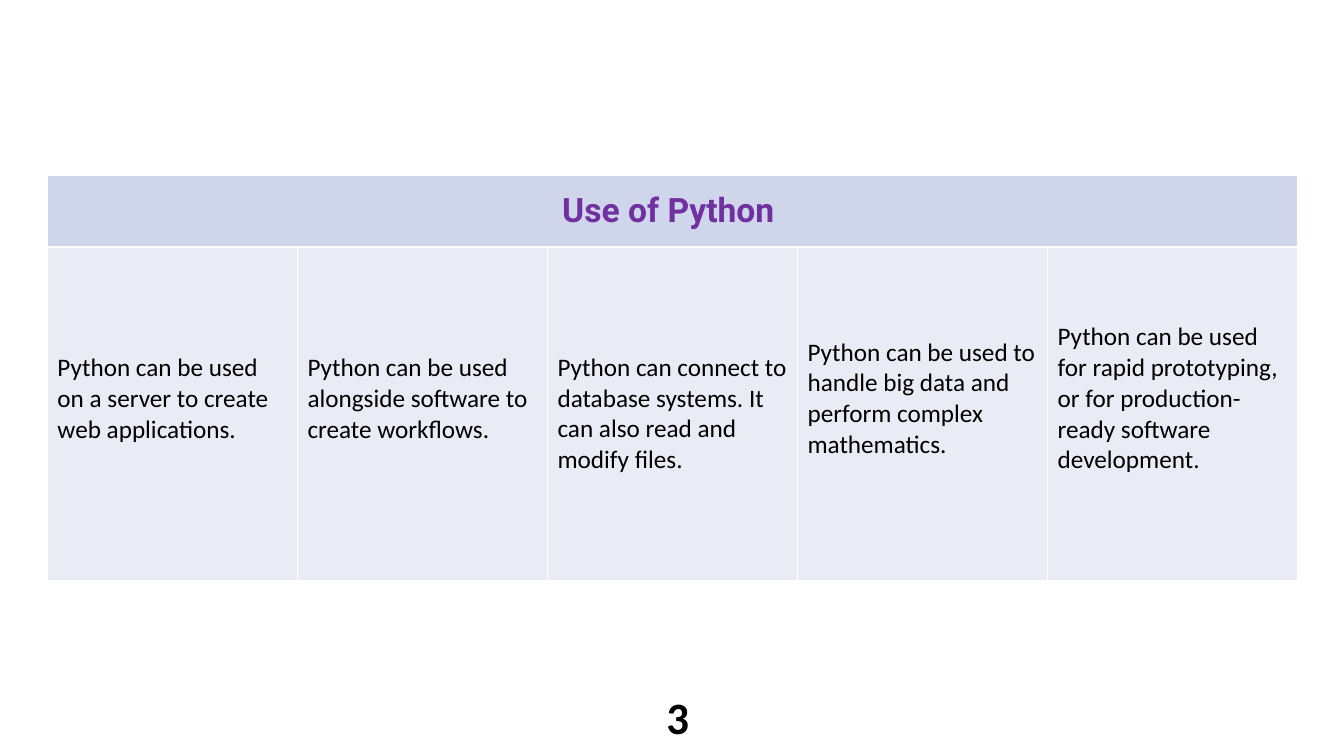
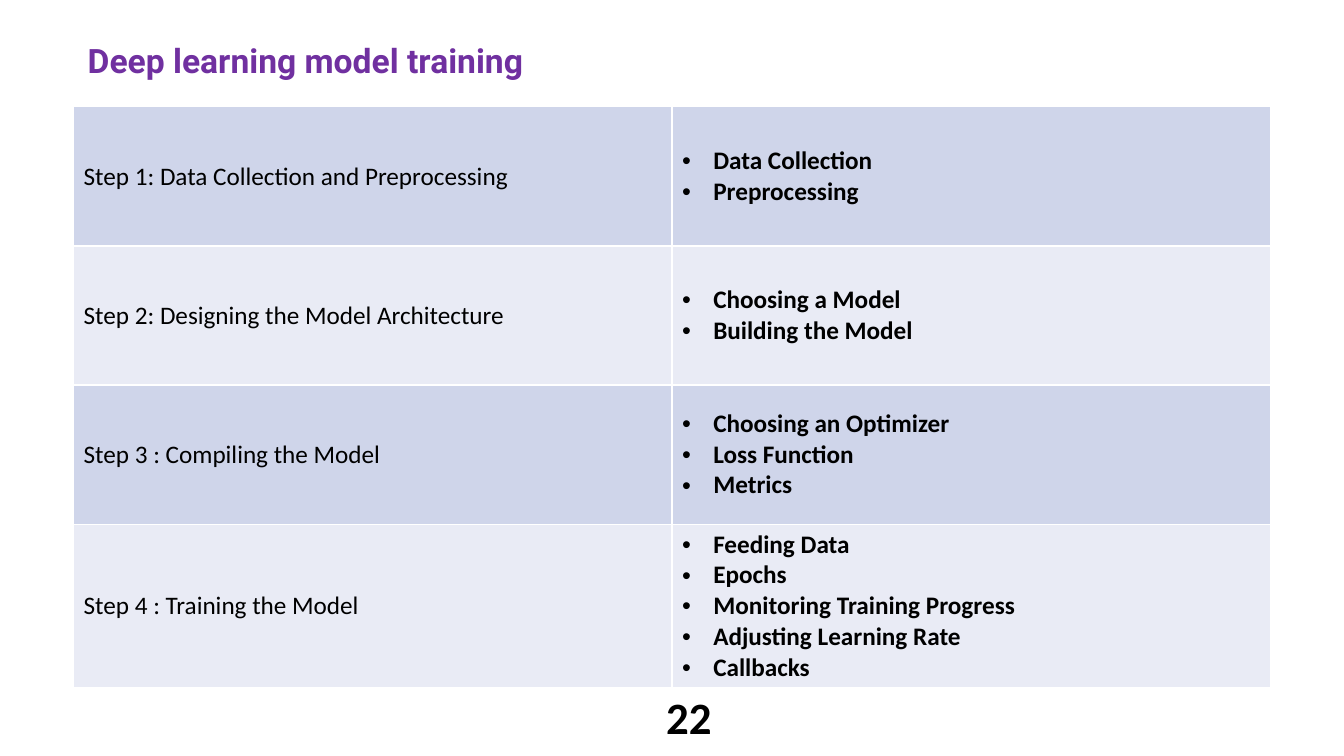
from dataclasses import dataclass

from lxml import etree
from pptx import Presentation
from pptx.dml.color import RGBColor
from pptx.enum.text import MSO_ANCHOR, MSO_AUTO_SIZE, PP_ALIGN
from pptx.oxml.ns import qn
from pptx.util import Inches, Pt

LEFT, CENTER = PP_ALIGN.LEFT, PP_ALIGN.CENTER
TOP, MIDDLE = MSO_ANCHOR.TOP, MSO_ANCHOR.MIDDLE
NO_FIT = MSO_AUTO_SIZE.NONE
TITLE_ONLY, BLANK = 5, 6


@dataclass(frozen=True)
class Theme:
    title_font: str = "Roboto"
    body_font: str = "Calibri"
    title_color: str = "7030A0"
    text_color: str = "000000"
    border: str = "FFFFFF"
    bands: tuple = ("CFD5EA", "E9EBF5")
    title_size: int = 24
    body_size: int = 18
    page_size: int = 32
    bullet_indent: float = 0.31


THEME = Theme()
WIDTH, HEIGHT = 13.33, 7.5

USES_TITLE = "Use of Python "
USES = [
    ("Python can be used on a server to create web applications.", 0.35),
    ("Python can be used alongside software to create workflows.", 0.35),
    ("Python can connect to database systems. It can also read and modify files.", 0.05),
    ("Python can be used to handle big data and perform complex mathematics.", 0.35),
    ("Python can be used for rapid prototyping, or for production-ready software development.", 0.35),
]
STEPS_TITLE = "Deep learning model training"
STEPS = [
    ("Step 1: Data Collection and Preprocessing", ["Data Collection", "Preprocessing"]),
    ("Step 2: Designing the Model Architecture", ["Choosing a Model", "Building the Model"]),
    ("Step 3 : Compiling the Model", ["Choosing an Optimizer", "Loss Function", "Metrics"]),
    ("Step 4 : Training the Model", ["Feeding Data", "Epochs", "Monitoring Training Progress",
                                     "Adjusting Learning Rate", "Callbacks"]),
]


def style(p, size, bold=False, font=THEME.body_font, color=THEME.text_color):
    for r in p.runs:
        r.font.name = font
        r.font.size = Pt(size)
        r.font.bold = bold
        r.font.color.rgb = RGBColor.from_string(color)


def style_title(p, align):
    p.alignment = align
    style(p, THEME.title_size, True, THEME.title_font, THEME.title_color)


def add_bullet(p):
    pPr = p._p.get_or_add_pPr()
    indent = Inches(THEME.bullet_indent)
    pPr.set("marL", str(indent))
    pPr.set("indent", str(-indent))
    etree.SubElement(pPr, qn("a:buFont")).set("typeface", "Arial")
    etree.SubElement(pPr, qn("a:buChar")).set("char", "•")


def set_borders(cell):
    tcPr = cell._tc.get_or_add_tcPr()
    for i, side in enumerate(("lnL", "lnR", "lnT", "lnB")):
        ln = etree.Element(qn(f"a:{side}"), w=str(Pt(1)))
        fill = etree.SubElement(ln, qn("a:solidFill"))
        etree.SubElement(fill, qn("a:srgbClr")).set("val", THEME.border)
        tcPr.insert(i, ln)


def add_table(s, left, top, width, row_heights, cols):
    shape = s.shapes.add_table(len(row_heights), cols, Inches(left), Inches(top),
                               Inches(width), Inches(sum(row_heights)))
    table = shape.table
    table.first_row = table.horz_banding = False
    for col in table.columns:
        col.width = Inches(width / cols)
    for i, height in enumerate(row_heights):
        table.rows[i].height = Inches(height)
        for cell in table.rows[i].cells:
            cell.fill.solid()
            cell.fill.fore_color.rgb = RGBColor.from_string(THEME.bands[i % 2])
            cell.vertical_anchor = MIDDLE
            set_borders(cell)
    return table


def fill_cell(cell, lines, bulleted=False):
    tf = cell.text_frame
    tf.text = "\n".join(lines)
    for p in tf.paragraphs:
        if bulleted:
            add_bullet(p)
        style(p, THEME.body_size, bulleted)


def add_page_number(s, number):
    width = 0.28 + 0.21 * len(str(number))
    box = s.shapes.add_textbox(Inches(6.51), Inches(6.79), Inches(width), Inches(0.64))
    tf = box.text_frame
    tf.word_wrap = True
    tf.text = str(number)
    style(tf.paragraphs[0], THEME.page_size, True)


def add_title(s, text):
    title = s.shapes.title
    title.left, title.top = Inches(0.77), Inches(0.35)
    title.width, title.height = Inches(4.96), Inches(0.5)
    tf = title.text_frame
    tf.text = text
    tf.word_wrap = False
    tf.auto_size = NO_FIT
    tf.vertical_anchor = TOP
    style_title(tf.paragraphs[0], LEFT)


def build_uses(prs):
    s = prs.slides.add_slide(prs.slide_layouts[BLANK])
    table = add_table(s, 0.47, 1.74, 12.4, [0.71, 3.31], len(USES))
    header = table.cell(0, 0)
    header.merge(table.cell(0, len(USES) - 1))
    header.text_frame.text = USES_TITLE
    style_title(header.text_frame.paragraphs[0], CENTER)
    for col, (text, bottom) in enumerate(USES):
        cell = table.cell(1, col)
        cell.margin_bottom = Inches(bottom)
        fill_cell(cell, [text])
    add_page_number(s, 3)


def build_steps(prs):
    s = prs.slides.add_slide(prs.slide_layouts[TITLE_ONLY])
    add_title(s, STEPS_TITLE)
    table = add_table(s, 0.73, 1.06, 11.87, [1.38] * len(STEPS), 2)
    for row, (step, parts) in enumerate(STEPS):
        fill_cell(table.cell(row, 0), [step])
        fill_cell(table.cell(row, 1), parts, bulleted=True)
    add_page_number(s, 22)


def main():
    prs = Presentation()
    prs.slide_width, prs.slide_height = Inches(WIDTH), Inches(HEIGHT)
    build_uses(prs)
    build_steps(prs)
    prs.save("out.pptx")


if __name__ == "__main__":
    main()
